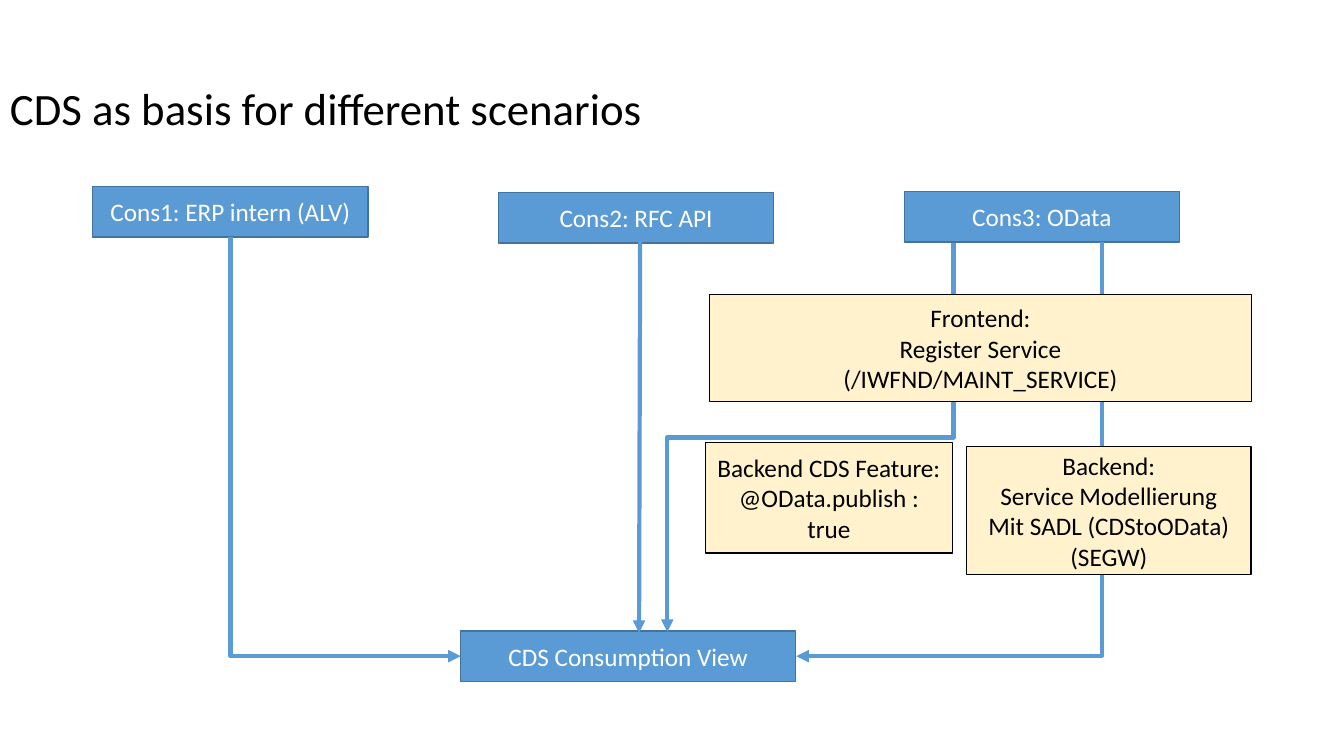
from lxml.etree import SubElement
from pptx import Presentation
from pptx.dml.color import RGBColor
from pptx.enum.shapes import MSO_CONNECTOR, MSO_SHAPE
from pptx.enum.text import MSO_ANCHOR, PP_ALIGN
from pptx.oxml.ns import qn
from pptx.util import Inches, Pt

WIDE, HIGH = 13.33, 7.5
BLUE, EDGE = "5B9BD5", "43739E"
CREAM, BLACK, WHITE = "FFF2CC", "000000", "FFFFFF"


def tint(code):
    return RGBColor.from_string(code)


def within(area, x, y, w=0, h=0):
    """Turn percent shares of an area into inches."""
    left, top, wide, high = area
    return (left + wide * x / 100, top + high * y / 100,
            wide * w / 100, high * h / 100)


def write(shape, text, size=18, color=BLACK, align=PP_ALIGN.CENTER, lead=None):
    frame = shape.text_frame
    frame.word_wrap = True
    frame.vertical_anchor = MSO_ANCHOR.MIDDLE
    frame.text = text
    for para in frame.paragraphs:
        para.alignment = align
        para.line_spacing = lead
        for run in para.runs:
            run.font.name = "Calibri"
            run.font.size = Pt(size)
            run.font.color.rgb = tint(color)


def block(slide, box, text, fill, edge, color):
    shape = slide.shapes.add_shape(MSO_SHAPE.RECTANGLE, *map(Inches, box))
    shape.shadow.inherit = False
    shape.fill.solid()
    shape.fill.fore_color.rgb = tint(fill)
    shape.line.color.rgb = tint(edge)
    shape.line.width = Pt(1)
    write(shape, text, color=color)


def arrow(slide, start, end, kind="line"):
    """Draw an arrow; the bent kinds leave the start downwards."""
    (x1, y1), (x2, y2) = start, end
    bent = kind != "line"
    if bent:
        # The bent outline is laid flat around the centre, then turned
        midx, midy = (x1 + x2) / 2, (y1 + y2) / 2
        long, wide = (y2 - y1) / 2, abs(x2 - x1) / 2
        ends = midx - long, midy - wide, midx + long, midy + wide
    else:
        ends = x1, y1, x2, y2
    style = MSO_CONNECTOR.ELBOW if bent else MSO_CONNECTOR.STRAIGHT
    line = slide.shapes.add_connector(style, *map(Inches, ends))
    line.line.color.rgb = tint(BLUE)
    line.line.width = Pt(3)
    props = line._element.spPr
    if bent:
        turn = props.find(qn("a:xfrm"))
        turn.set("rot", "5400000" if x2 < x1 else "16200000")
        if x2 > x1:
            turn.set("flipH", "1")
        props.find(qn("a:prstGeom")).set("prst", kind)
    SubElement(props.find(qn("a:ln")), qn("a:tailEnd"), type="triangle")
    SubElement(props, qn("a:effectLst"))


def title(slide, area, text):
    box = within(area, 0, 5.07, 86.25, 19.33)
    shape = slide.shapes.add_textbox(*map(Inches, box))
    write(shape, text, size=32, align=PP_ALIGN.LEFT, lead=0.9)


def users(slide, area, names):
    """Place the row of consumers at equal steps."""
    for i, (name, y) in enumerate(names):
        box = within(area, 6.9 + 30.19 * i, y, 20.48, 6.67)
        block(slide, box, name, BLUE, EDGE, WHITE)


def view(slide, area, text):
    box = within(area, 34.28, 83.47, 24.9, 6.67)
    block(slide, box, text, BLUE, EDGE, WHITE)


def flows(slide, area):
    for start, end, kind in (
        ((47.63, 31.47), (47.55, 83.73), "line"),
        ((70.95, 32.13), (49.65, 83.6), "bentConnector3"),
        ((81.98, 32), (59.25, 86.8), "bentConnector2"),
        ((17.14, 31.33), (34.28, 86.8), "bentConnector2"),
    ):
        arrow(slide, within(area, *start)[:2], within(area, *end)[:2], kind)


def notes(slide, area, items):
    for text, share in items:
        block(slide, within(area, *share), text, CREAM, BLACK, BLACK)


def main():
    deck = Presentation()
    deck.slide_width, deck.slide_height = Inches(WIDE), Inches(HIGH)
    slide = deck.slides.add_slide(deck.slide_layouts[6])
    page = (0, 0, WIDE, HIGH)

    # Heading
    title(slide, page, "CDS as basis for different scenarios")

    # Consumers and the shared view
    users(slide, page, [("Cons1: ERP intern (ALV)", 24.67),
                        ("Cons2: RFC API", 25.47),
                        ("Cons3: OData", 25.33)])
    view(slide, page, "CDS Consumption View")

    # Arrows run behind the steps
    flows(slide, page)
    notes(slide, page, [
        ("Backend CDS Feature:\n@OData.publish : true",
         (52.5, 58.53, 18.35, 14.6)),
        ("Backend:\nService Modellierung\nMit SADL (CDStoOData)\n(SEGW)",
         (71.93, 59.07, 21.15, 16.93)),
        ("Frontend:\nRegister Service\v(/IWFND/MAINT_SERVICE)",
         (52.8, 38.93, 40.3, 14.2)),
    ])
    deck.save("out.pptx")


if __name__ == "__main__":
    main()
